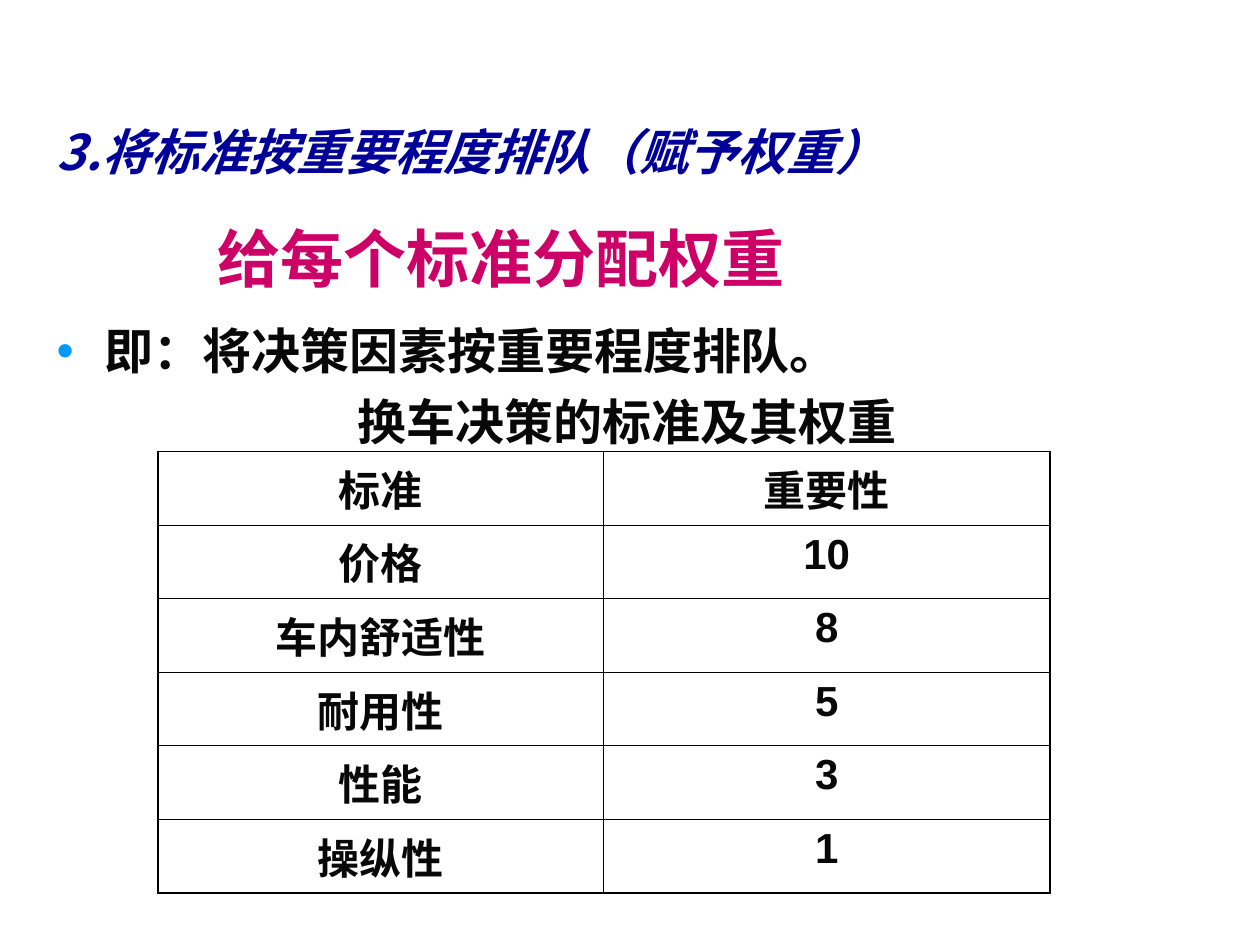
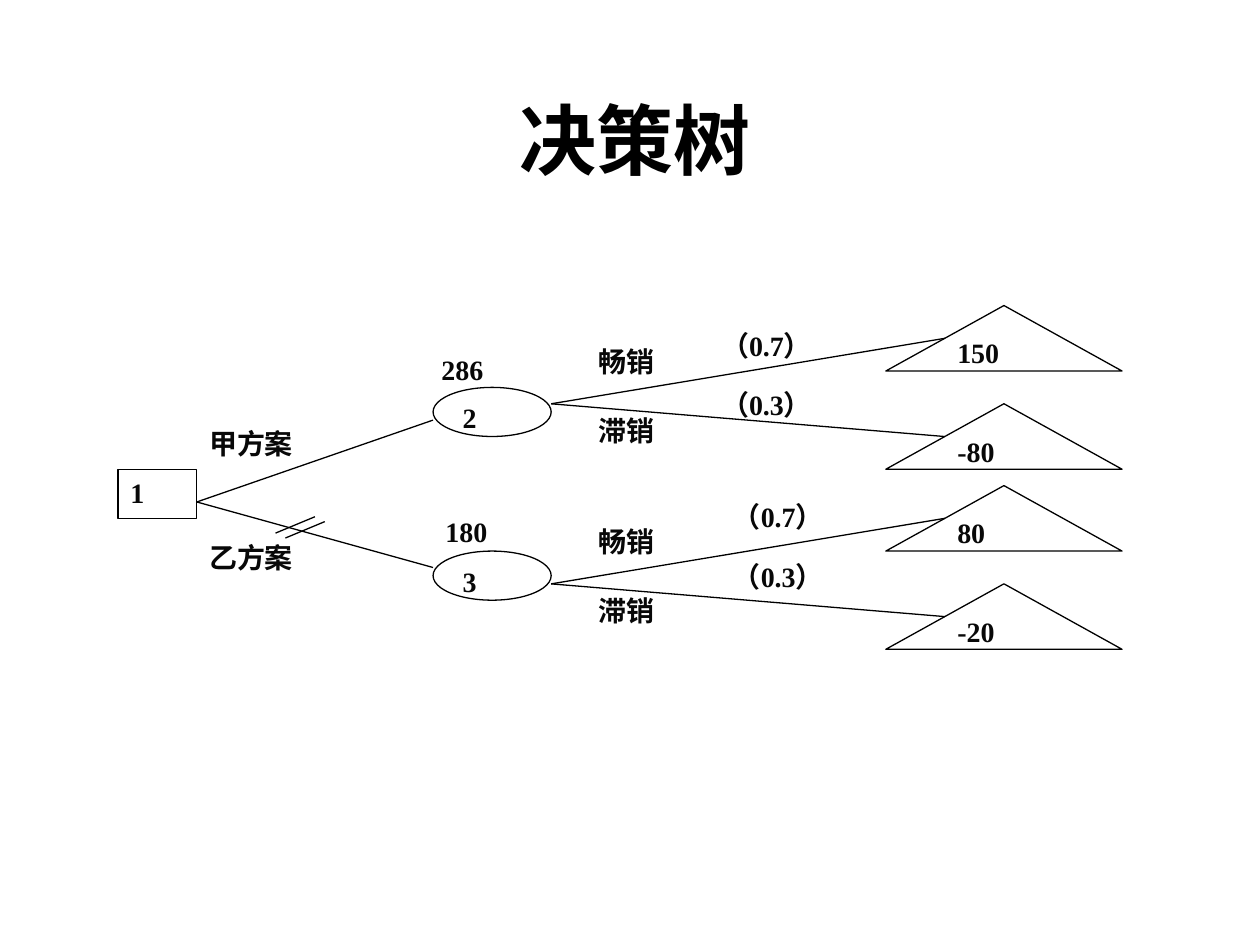
from lxml import etree
from pptx import Presentation
from pptx import util as u
from pptx.dml.color import RGBColor
from pptx.enum import shapes, text
from pptx.oxml import ns

CJK = "Noto Sans CJK SC"
INK, BLACK, WHITE = "080808", "000000", "FFFFFF"
LEFT, CENTER, JUST = text.PP_ALIGN.LEFT, text.PP_ALIGN.CENTER, text.PP_ALIGN.JUSTIFY
TOP, MIDDLE, BOTTOM = text.MSO_ANCHOR.TOP, text.MSO_ANCHOR.MIDDLE, text.MSO_ANCHOR.BOTTOM


# Shared helpers
def color(code):
    return RGBColor.from_string(code)


def cm(*sizes):
    return [u.Cm(size) for size in sizes]


def add(parent, tag, **attrs):
    return etree.SubElement(parent, ns.qn(tag), attrs)


def style(par, size, code, font, align, gap=0, italic=False):
    par.alignment = align
    par.space_before = u.Pt(gap)
    for run in par.runs:
        face = run.font
        face.size, face.bold, face.italic = u.Pt(size), True, italic
        face.color.rgb = color(code)
        face.name = font
        add(run.font._element, "a:ea", typeface=CJK)


def fill(frame, lines, anchor, size, code, font, align, gap=0, italic=False):
    frame.text = "\n".join(lines)
    frame.word_wrap = True
    frame.auto_size = text.MSO_AUTO_SIZE.NONE
    frame.vertical_anchor = anchor
    for i, par in enumerate(frame.paragraphs):
        style(par, size, code, font, align, gap if i else 0, italic)


def place(shape, box):
    shape.left, shape.top, shape.width, shape.height = cm(*box)


def head(slide, box, words, anchor, size, code, font):
    place(slide.shapes.title, box)
    fill(slide.shapes.title.text_frame, [words], anchor, size, code, font, CENTER)


# Slide with the weights
def note(slide, box, words):
    label = slide.shapes.add_textbox(*cm(*box))
    fill(label.text_frame, [words], TOP, 28, "000099", CJK, LEFT, italic=True)


def points(slide, box, lines):
    body = slide.placeholders[1]
    place(body, box)
    fill(body.text_frame, lines, TOP, 28, INK, "Arial", LEFT, gap=7)
    item, caption = body.text_frame.paragraphs
    caption.alignment = CENTER
    for par in (item, caption):
        props = par._p.get_or_add_pPr()
        props.set("marL", str(u.Cm(0.97)))
        props.set("indent", str(u.Cm(-0.97)))
        if par is item:
            add(add(props, "a:buClr"), "a:srgbClr", val="0099FF")
            add(props, "a:buFont", typeface="Arial")
            add(props, "a:buChar", char="•")
        else:
            add(props, "a:buNone")


def border(cell, outer):
    props = cell._tc.get_or_add_tcPr()
    for side in "LRTB":
        width = u.Pt(1.08 if side in outer else 0.45)
        line = add(props, f"a:ln{side}", w=str(width))
        add(add(line, "a:solidFill"), "a:srgbClr", val=BLACK)


def grid(slide, box, rows):
    last_row, last_col = len(rows) - 1, len(rows[0]) - 1
    table = slide.shapes.add_table(len(rows), len(rows[0]), *cm(*box)).table
    for r, row in enumerate(rows):
        for c, words in enumerate(row):
            cell = table.cell(r, c)
            cell.text_frame.text = words
            style(cell.text_frame.paragraphs[0], 24, INK, "Arial", CENTER)
            edges = {"L": c == 0, "R": c == last_col, "T": r == 0, "B": r == last_row}
            border(cell, [side for side, outer in edges.items() if outer])
            cell.fill.solid()
            cell.fill.fore_color.rgb = color(WHITE)


def weights(deck):
    slide = deck.slides.add_slide(deck.slide_layouts[1])
    head(slide, (1.3, 4.13, 17.58, 2.11), "给每个标准分配权重", MIDDLE, 36, "CC0066", CJK)
    points(slide, (0.89, 6.34, 23.5, 11.43),
           ["即：将决策因素按重要程度排队。", "换车决策的标准及其权重"])
    grid(slide, (3.18, 9.1, 17.98, 7.62),
         [("标准", "重要性"), ("价格", "10"), ("车内舒适性", "8"),
          ("耐用性", "5"), ("性能", "3"), ("操纵性", "1")])
    note(slide, (0.89, 2.33, 22.81, 1.45), "3.将标准按重要程度排队（赋予权重）")


# Slide with the decision tree, laid out on a grid of 25.5 by 21 units
def tree(slide, box):
    left, top, width, height = box
    step_x, step_y = width / 25.5, height / 21
    parts = slide.shapes.add_group_shape().shapes
    kinds = shapes.MSO_SHAPE

    def spot(x, y):
        return cm(left + x * step_x, top + y * step_y)

    def node(kind, x, y, w, h, *lines, edge=BLACK, gap=0):
        shape = parts.add_shape(kind, *spot(x, y), *cm(w * step_x, h * step_y))
        shape.shadow.inherit = False
        shape.fill.solid()
        shape.fill.fore_color.rgb = color(WHITE)
        shape.line.color.rgb = color(edge)
        shape.line.width = u.Pt(0.75)
        fill(shape.text_frame, lines, TOP, 16, INK, "Times New Roman", JUST, gap)
        return shape

    def label(*args, gap=0):
        node(kinds.RECTANGLE, *args, edge=WHITE, gap=gap)

    def branch(x1, y1, x2, y2):
        line = parts.add_connector(shapes.MSO_CONNECTOR.STRAIGHT, *spot(x1, y1), *spot(x2, y2))
        line.line.color.rgb = color(BLACK)
        line.line.width = u.Pt(0.75)
        add(line._element.spPr, "a:effectLst")

    # Market states end where the odds begin, so that both stay readable
    for y in (13, 2):
        label(11.9, y, 3, 7, "畅销", "滞销", gap=20)
    for x, y in ((15.3, 11.5), (15, 1)):
        label(x, y, 5, 9, "（0.7）", "（0.3）", gap=15)

    # Expected values and plans
    label(7.9, 2.5, 3.5, 4, "286")
    label(8, 12.4, 3.5, 4, "180")
    label(2, 14, 5, 5, "乙方案")
    label(2, 7, 5, 5, "甲方案")

    # Decision, chance and result nodes
    node(kinds.RECTANGLE, 0, 10, 2, 3, "1")
    for y, words in ((5, "2"), (15, "3")):
        node(kinds.OVAL, 8, y, 3, 3, words)
    for y, words in ((0, "150"), (6, "-80"), (11, "80"), (17, "-20")):
        result = node(kinds.ISOSCELES_TRIANGLE, 19.5, y, 6, 4, words)
        result.text_frame.paragraphs[0].line_spacing = 0.72

    # Branches
    for y in (7, 16):
        branch(2, 12, 8, y)
    for start, ends in ((6, (2, 8)), (17, (13, 19))):
        for end in ends:
            branch(11, start, 21, end)

    # Strokes that cut the rejected plan
    for x, y in ((5, 12.9), (5.25, 13.2)):
        branch(x, y, x - 1, y + 1)


def decision(deck):
    slide = deck.slides.add_slide(deck.slide_layouts[5])
    head(slide, (2.11, 2.13, 21.39, 1.73), "决策树", BOTTOM, 44, BLACK, "Arial")
    tree(slide, (2.38, 6.16, 20.24, 6.93))


def main():
    deck = Presentation()
    deck.slide_width, deck.slide_height = cm(25.4, 19.05)
    weights(deck)
    decision(deck)
    deck.save("out.pptx")


if __name__ == "__main__":
    main()
